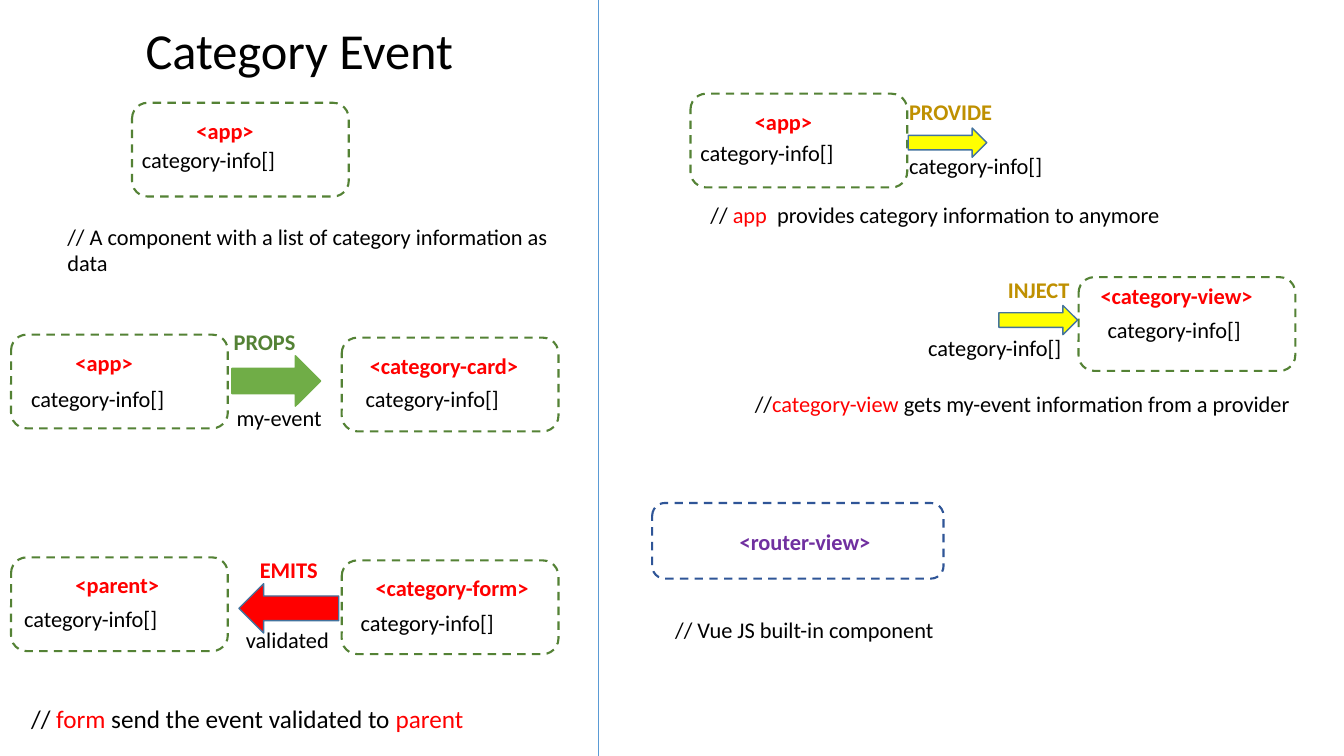
from lxml import etree
from pptx import Presentation
from pptx.dml.color import RGBColor
from pptx.enum.dml import MSO_LINE_DASH_STYLE as DASH
from pptx.enum.shapes import MSO_CONNECTOR, MSO_SHAPE as SHAPE
from pptx.enum.text import MSO_AUTO_SIZE as AUTO, PP_ALIGN as ALIGN
from pptx.oxml.ns import qn
from pptx.util import Inches, Pt

BLACK = RGBColor(0x00, 0x00, 0x00)
RED = RGBColor(0xFF, 0x00, 0x00)
GREEN = RGBColor(0x70, 0xAD, 0x47)
DARK_GREEN = RGBColor(0x54, 0x82, 0x35)
YELLOW = RGBColor(0xFF, 0xFF, 0x00)
GOLD = RGBColor(0xBF, 0x90, 0x00)
PURPLE = RGBColor(0x70, 0x30, 0xA0)
NAVY = RGBColor(0x2F, 0x55, 0x97)
STEEL = RGBColor(0x43, 0x73, 0x9E)
BLUE = RGBColor(0x5B, 0x9B, 0xD5)

# The slide is a grid of square cells; all places and sizes count cells.
CELL = Inches(0.1)
COLUMNS, ROWS = 133.33, 75
DIVIDER = 59.4
BOX_WIDTH, BOX_HEIGHT = 21.5, 9.3
LINE_HEIGHT = 3.7
INFO = "category-info[]"

deck = Presentation()
deck.slide_width, deck.slide_height = int(COLUMNS * CELL), ROWS * CELL
slide = deck.slides.add_slide(deck.slide_layouts[6])


def write(text, column, row, width, height=LINE_HEIGHT, size=16, color=BLACK,
          bold=False, align=ALIGN.LEFT):
    """Write one paragraph; parts between asterisks are red."""
    cells = (column, row, width, height)
    frame = slide.shapes.add_textbox(*(int(n * CELL) for n in cells)).text_frame
    frame.word_wrap = True
    frame.auto_size = AUTO.SHAPE_TO_FIT_TEXT
    paragraph = frame.paragraphs[0]
    paragraph.alignment = align
    for index, part in enumerate(text.split("*")):
        if part:
            run = paragraph.add_run()
            run.text = part
            run.font.name, run.font.size, run.font.bold = "Calibri", Pt(size), bold
            run.font.color.rgb = RED if index % 2 else color


def draw(kind, column, row, width, height, line, weight=1, fill=None):
    """Draw a filled arrow, or a dashed outline when no fill is given."""
    cells = (column, row, width, height)
    figure = slide.shapes.add_shape(kind, *(int(n * CELL) for n in cells))
    figure.shadow.inherit = False
    figure.line.color.rgb = line
    figure.line.width = Pt(weight)
    if fill is None:
        figure.fill.background()
        figure.line.dash_style = DASH.DASH
    else:
        figure.fill.solid()
        figure.fill.fore_color.rgb = fill


divider = slide.shapes.add_connector(
    MSO_CONNECTOR.STRAIGHT, int(DIVIDER * CELL), 0, int(DIVIDER * CELL), ROWS * CELL)
divider.line.color.rgb = BLUE
divider.line.width = Pt(0.5)
etree.SubElement(divider._element.spPr, qn("a:effectLst"))

write("Category Event", 0, 1.4, DIVIDER, height=7.1, size=36, align=ALIGN.CENTER)

# Box corner, tag, tag offset and alignment, data offset
components = [
    (13.1, 10.2, "<app>", 5.4, 0.9, ALIGN.LEFT, 0, 3.8),
    (1.1, 33.2, "<app>", 5.4, 0.9, ALIGN.LEFT, 1, 4.5),
    (33.9, 33.5, "<category-card>", -0.6, 0.9, ALIGN.CENTER, 1.4, 4.2),
    (1.1, 55.3, "<parent>", 5.4, 0.9, ALIGN.LEFT, 0.3, 4.2),
    (33.9, 55.6, "<category-form>", 0.2, 0.9, ALIGN.CENTER, 0.9, 4.3),
    (68.5, 9.3, "<app>", 5.4, 0.9, ALIGN.LEFT, 0, 4),
    (107, 27.5, "<category-view>", 1.2, 0, ALIGN.LEFT, 1.9, 3.4),
]
for column, row, tag, tag_x, tag_y, align, info_x, info_y in components:
    draw(SHAPE.ROUNDED_RECTANGLE, column, row, BOX_WIDTH, BOX_HEIGHT, DARK_GREEN, 1.5)
    write(tag, column + tag_x, row + tag_y, BOX_WIDTH, color=RED, bold=True, align=align)
    write(INFO, column + info_x, row + info_y, 20.8)

draw(SHAPE.ROUNDED_RECTANGLE, 64.7, 49.9, 28.9, 7.5, NAVY, 1.5)
write("<router-view>", 72.4, 51.9, 15.6, color=PURPLE, bold=True)

# Arrow, its place and colours; label, its place and colour; payload, its place
flows = [
    (SHAPE.RIGHT_ARROW, 23, 35.3, 8.8, 5, GREEN, GREEN,
     "PROPS", 22.2, 32.1, DARK_GREEN, "my-event", 22.5, 39.6),
    (SHAPE.LEFT_ARROW, 23.7, 57.9, 9.9, 4.9, STEEL, RED,
     "EMITS", 24.8, 54.7, RED, "validated", 23.4, 61.6),
    (SHAPE.RIGHT_ARROW, 90.1, 12.7, 7.8, 2.9, STEEL, YELLOW,
     "PROVIDE", 89.2, 9.2, GOLD, INFO, 89.2, 14.6),
    (SHAPE.RIGHT_ARROW, 99.1, 30.3, 7.8, 2.9, STEEL, YELLOW,
     "INJECT", 99, 26.9, GOLD, INFO, 91.1, 32.7),
]
for (arrow, column, row, width, height, line, fill,
     label, label_x, label_y, label_color, payload, payload_x, payload_y) in flows:
    draw(arrow, column, row, width, height, line, fill=fill)
    write(label, label_x, label_y, 12.4, color=label_color, bold=True)
    write(payload, payload_x, payload_y, 20.8)

write("// A component with a list of category information as data", 5.7, 21.6, 50.4,
      height=6.4)
write("// *form* send the event validated to *parent*", 2.1, 69.3, 50.7, height=4, size=18)
write("// *app  *provides category information to anymore", 69.5, 19.5, 47.9)
write("//*category-view *gets my-event information from a provider", 73.9, 38.2, 58.7)
write("// Vue JS built-in component", 66, 60.6, 31.8)

deck.save("out.pptx")
